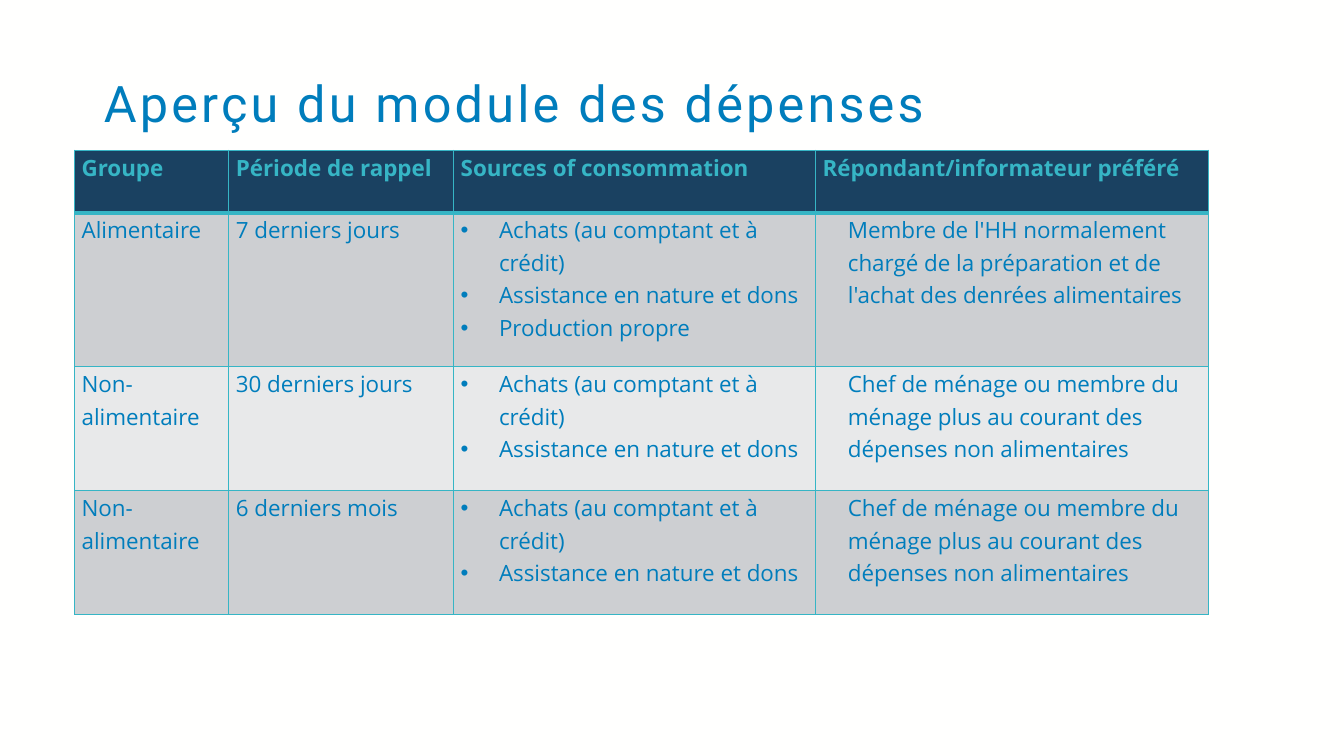
import pptx
import pptx.dml.color
import pptx.enum.text
import pptx.oxml.ns
import pptx.util
from lxml import etree
from pptx.util import Inches, Pt

TITLE = "Aperçu du module des dépenses"
HEADINGS = ["Groupe", "Période de rappel", "Sources of consommation", "Répondant/informateur préféré"]
GIFTS_AND_PURCHASES = ["Achats (au comptant et à crédit)", "Assistance en nature et dons"]
HOUSEHOLD_HEAD = "Chef de ménage ou membre du ménage plus au courant des dépenses non alimentaires"
GROUPS = [
    ("Alimentaire", "7 derniers jours", GIFTS_AND_PURCHASES + ["Production propre"],
     "Membre de l'HH normalement chargé de la préparation et de l'achat des denrées alimentaires"),
    ("Non-alimentaire", "30 derniers jours", GIFTS_AND_PURCHASES, HOUSEHOLD_HEAD),
    ("Non-alimentaire", "6 derniers mois", GIFTS_AND_PURCHASES, HOUSEHOLD_HEAD),
]
COLUMN_WIDTHS = [1.53, 2.23, 3.59, 3.9]
ROW_HEIGHTS = [0.62, 1.53, 1.23, 1.23]
BLUE, TEAL, NAVY = "007DBC", "36B5C5", "1A4161"
BANDS = ["CDCFD2", "E8E9EA"]
SOURCES, RESPONDENT = 2, 3


def color(value):
    return pptx.dml.color.RGBColor.from_string(value)


def add_child(parent, tag, **attributes):
    child = etree.SubElement(parent, pptx.oxml.ns.qn(tag))
    for key, value in attributes.items():
        child.set(key, str(value))
    return child


def add_run(paragraph, text, font_name, size, hue, bold=False):
    run = paragraph.add_run()
    run.text = text
    run.font.name = font_name
    run.font.size = Pt(size)
    run.font.bold = bold
    run.font.color.rgb = color(hue)
    return run


def add_borders(cell, row):
    properties = cell._tc.get_or_add_tcPr()
    widths = {"L": 1, "R": 1, "T": 3 if row == 1 else 1, "B": 3 if row == 0 else 1}
    for side, width in widths.items():
        line = add_child(properties, f"a:ln{side}", w=Pt(width))
        add_child(add_child(line, "a:solidFill"), "a:srgbClr", val=TEAL)


def fill_cell(cell, content, row, column):
    cell.margin_left = cell.margin_right = Inches(0.07)
    cell.margin_top = cell.margin_bottom = 0
    add_borders(cell, row)
    cell.fill.solid()
    cell.fill.fore_color.rgb = color(BANDS[(row - 1) % 2] if row else NAVY)
    bulleted = isinstance(content, list)
    frame = cell.text_frame
    for index, text in enumerate(content if bulleted else [content]):
        paragraph = frame.add_paragraph() if index else frame.paragraphs[0]
        properties = paragraph._p.get_or_add_pPr()
        if bulleted:
            properties.set("marL", str(Inches(0.38)))
            properties.set("indent", str(-Inches(0.38)))
            add_child(properties, "a:buFont", typeface="Arial")
            add_child(properties, "a:buChar", char="•")
        elif row and column == RESPONDENT:
            properties.set("marL", str(Inches(0.25)))
        paragraph.line_spacing = 1.07
        paragraph.space_after = Pt(0 if bulleted else 8)
        add_run(paragraph, text, "Open Sans", 16, BLUE if row else TEAL, bold=row == 0)


def main():
    deck = pptx.Presentation()
    deck.slide_width, deck.slide_height = Inches(13.33), Inches(7.5)
    slide = deck.slides.add_slide(deck.slide_layouts[5])
    slide.background.fill.solid()
    slide.background.fill.fore_color.rgb = color("FFFFFE")

    title = slide.shapes.title
    title.left, title.top, title.width, title.height = map(Inches, (0.93, 0.73, 11.53, 1.26))
    title.text_frame.vertical_anchor = pptx.enum.text.MSO_ANCHOR.TOP
    title.text_frame.word_wrap = True
    heading = title.text_frame.paragraphs[0]
    heading.alignment = pptx.enum.text.PP_ALIGN.LEFT
    heading.line_spacing = 0.9
    title_run = add_run(heading, TITLE, "Roboto", 36, BLUE)
    title_run.font._element.set("spc", "230")

    rows = [HEADINGS] + GROUPS
    overview = slide.shapes.add_table(
        len(rows), len(HEADINGS), Inches(0.74), Inches(1.49),
        Inches(sum(COLUMN_WIDTHS)), Inches(sum(ROW_HEIGHTS))).table
    for column, width in zip(overview.columns, COLUMN_WIDTHS):
        column.width = Inches(width)
    for row, height in zip(overview.rows, ROW_HEIGHTS):
        row.height = Inches(height)
    for row, contents in enumerate(rows):
        for column, content in enumerate(contents):
            fill_cell(overview.cell(row, column), content, row, column)

    deck.save("out.pptx")


if __name__ == "__main__":
    main()
